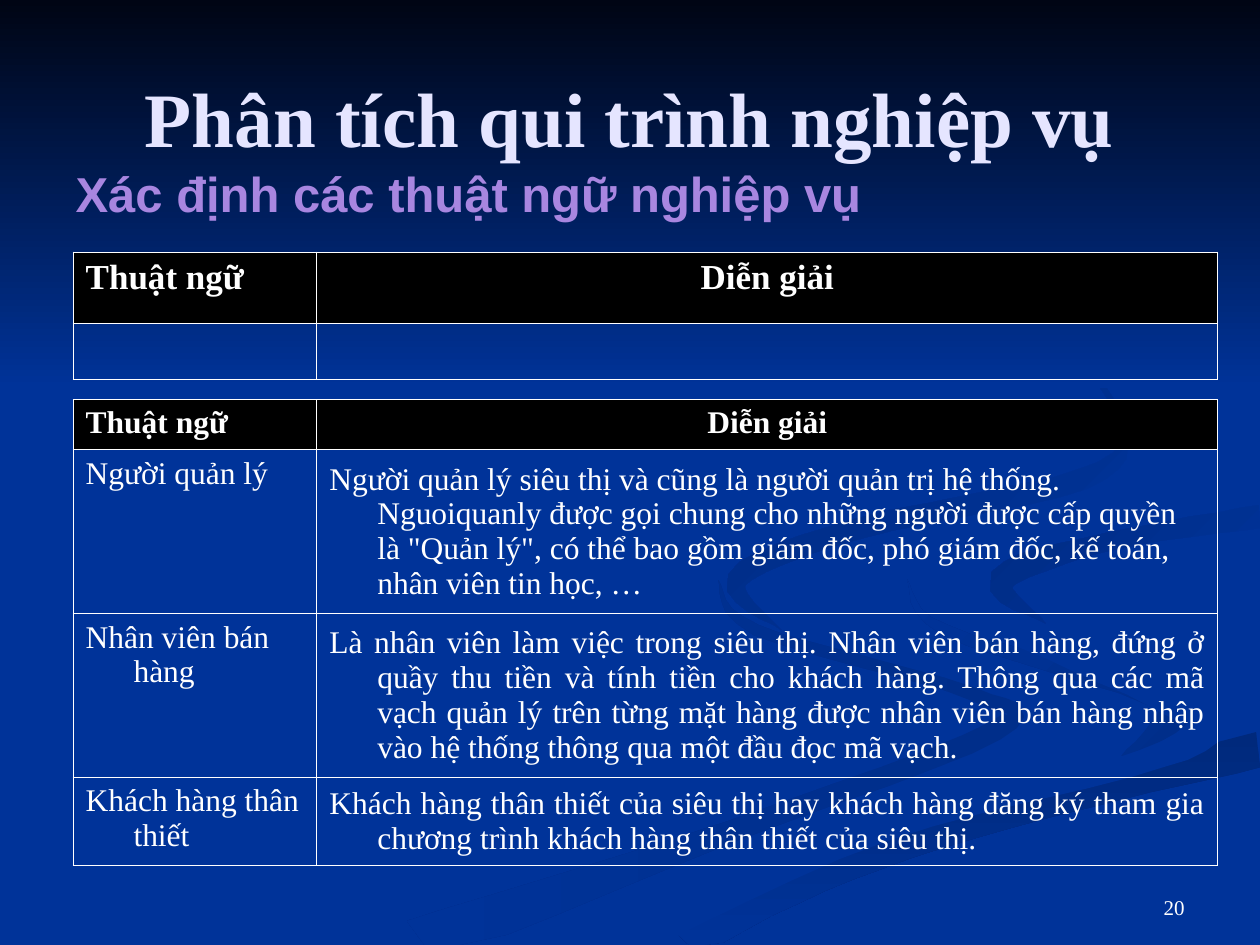
from math import hypot
from lxml.etree import SubElement
from pptx import Presentation
from pptx.dml.color import RGBColor
from pptx.enum.shapes import MSO_SHAPE
from pptx.enum.text import MSO_ANCHOR, MSO_AUTO_SIZE, PP_ALIGN
from pptx.oxml.ns import qn
from pptx.util import Inches, Pt

WIDE, HIGH = Inches(10), Inches(7.5)
COLS, ROWS = 100, 75
COL, ROW = WIDE // COLS, HIGH // ROWS
FINE = 10
CUTS = 6

WHITE = RGBColor(0xFF, 0xFF, 0xFF)
BLACK = RGBColor(0x00, 0x00, 0x00)
BLUE = RGBColor(0x00, 0x33, 0x99)
NIGHT = RGBColor(0x00, 0x05, 0x14)
DEEP = RGBColor(0x00, 0x2E, 0x8A)
DARK = RGBColor(0x00, 0x29, 0x7C)
DUSK = RGBColor(0x00, 0x2C, 0x85)
SHADE = RGBColor(0x00, 0x2B, 0x81)
PALE = RGBColor(0xE5, 0xE5, 0xFF)
LILAC = RGBColor(0xA8, 0x86, 0xE0)

SERIF, SANS = "Times New Roman", "Arial"
LEFT, MID = PP_ALIGN.LEFT, PP_ALIGN.CENTER
RIGHT, FULL = PP_ALIGN.RIGHT, PP_ALIGN.JUSTIFY

# Each knot: column, row, half the ribbon's breadth.
TAIL = [(57, 46, 0), (60, 50, 0.4), (77, 55, 0.5), (79, 58, 0.8),
        (58, 66, 0.9), (33, 75, 2)]
HOOK = [(72, 46, 0), (75, 50, 0.4), (91, 55, 0.8), (93, 57, 1.2), (89, 60, 0)]
SWEEP = [(100, 59.5, 1.4), (80, 64.5, 1.2), (65, 69.5, 1.3), (54, 75, 1.5)]
BODY = [(100, 39.5, 0.7), (85, 42.5, 1), (76, 46, 2.4), (84, 50.5, 2),
        (95, 56, 2), (92, 60, 1), (70, 66, 0.8), (50, 75, 1)]
CURL = [(100, 41, 0.9), (88, 43, 0.7), (79.5, 46, 1), (83, 49.5, 0)]
RING = [(76, 23, 0), (85, 28, 0.2), (89, 34, 0.3), (86, 38, 0.8),
        (68, 42, 0.8), (58.5, 46, 0.8), (62, 50, 0)]

DECOR = [
    (TAIL, DEEP, BLUE, 180),
    (HOOK, DEEP, BLUE, 225),
    (SWEEP, DARK, BLUE, 90),
    (BODY, BLUE, BLUE, 0),
    (CURL, BLUE, DUSK, 225),
    (RING, BLUE, SHADE, 225),
]

HEAD = [("Thuật ngữ", LEFT), ("Diễn giải", MID)]
TERMS = [
    HEAD,
    [("Người quản lý", FULL),
     ("Người quản lý siêu thị và cũng là người quản trị hệ thống. "
      "Nguoiquanly được gọi chung cho những người được cấp quyền là "
      "\"Quản lý\", có thể bao gồm giám đốc, phó giám đốc, kế toán, "
      "nhân viên tin học, …", LEFT)],
    [("Nhân viên bán hàng", LEFT),
     ("Là nhân viên làm việc trong siêu thị. Nhân viên bán hàng, đứng ở "
      "quầy thu tiền và tính tiền cho khách hàng. Thông qua các mã vạch "
      "quản lý trên từng mặt hàng được nhân viên bán hàng nhập vào hệ "
      "thống thông qua một đầu đọc mã vạch.", FULL)],
    [("Khách hàng thân thiết", LEFT),
     ("Khách hàng thân thiết của siêu thị hay khách hàng đăng ký tham gia "
      "chương trình khách hàng thân thiết của siêu thị.", FULL)],
]


def place(shape, left, top, wide, high):
    shape.left, shape.top = int(left * COL), int(top * ROW)
    shape.width, shape.height = int(wide * COL), int(high * ROW)


def write(para, text, size, font, color, bold=False, align=LEFT):
    para.alignment = align
    para.space_before = Pt(0)
    run = para.add_run()
    run.text = text
    run.font.size, run.font.name, run.font.bold = Pt(size), font, bold
    run.font.color.rgb = color


def hang(para):
    props = para._p.get_or_add_pPr()
    props.set("marL", str(Inches(0.38)))
    props.set("indent", str(-Inches(0.38)))


def blend(a, b, c, d, t):
    return b + t / 2 * (c - a + t * (2 * a - 5 * b + 4 * c - d
                                     + t * (3 * (b - c) + d - a)))


def smooth(knots):
    ends = [knots[0], *knots, knots[-1]]
    spine = [tuple(blend(*axis, cut / CUTS) for axis in zip(*four))
             for four in zip(ends, ends[1:], ends[2:], ends[3:])
             for cut in range(CUTS)]
    return spine + [knots[-1]]


def clip(x, y):
    return (round(min(max(x, 0), COLS) * FINE),
            round(min(max(y, 0), ROWS) * FINE))


def outline(knots):
    spine = smooth(knots)
    near, far = [], []
    for last, (x, y, half), ahead in zip(spine[:1] + spine, spine,
                                         spine[1:] + spine[-1:]):
        run, rise = ahead[0] - last[0], ahead[1] - last[1]
        span = hypot(run, rise)
        dx, dy = -rise / span * half, run / span * half
        near.append(clip(x + dx, y + dy))
        far.append(clip(x - dx, y - dy))
    return near + far[::-1]


def paint(shape, start, end, angle):
    shape.shadow.inherit = False
    shape.line.fill.background()
    shape.fill.gradient()
    shape.fill.gradient_angle = 360 - angle
    for spot, (stop, color) in enumerate(zip(shape.fill.gradient_stops, (start, end))):
        stop.color.rgb, stop.position = color, spot


def add_ribbon(slide, knots, start, end, angle):
    first, *rest = outline(knots)
    pen = slide.shapes.build_freeform(*first, scale=COL / FINE)
    pen.add_line_segments(rest, close=True)
    paint(pen.convert_to_shape(), start, end, angle)


def add_sky(slide):
    sky = slide.shapes.add_shape(MSO_SHAPE.RECTANGLE, 0, 0, COL, ROW)
    place(sky, 0, 0, COLS, 30.8)
    paint(sky, NIGHT, BLUE, 90)


def fill_holder(shape, spot, text, size, font, color, align, anchor):
    place(shape, *spot)
    frame = shape.text_frame
    frame.auto_size = MSO_AUTO_SIZE.NONE
    frame.vertical_anchor = anchor
    write(frame.paragraphs[0], text, size, font, color, True, align)


def edge(cell):
    props = cell._tc.get_or_add_tcPr()
    for side in ("lnL", "lnR", "lnT", "lnB"):
        line = SubElement(props, qn("a:" + side), w=str(Pt(0.45)))
        ink = SubElement(line, qn("a:solidFill"))
        SubElement(ink, qn("a:srgbClr"), val=str(WHITE))


def add_grid(slide, top, highs, rows, size):
    frame = slide.shapes.add_table(len(highs), 2, 0, 0, COL, ROW)
    place(frame, 5.8, top, 90.8, sum(highs))
    table = frame.table
    table.first_row = table.horz_banding = False
    for col, wide in zip(table.columns, (19.35, 71.5)):
        col.width = int(wide * COL)
    for row, high in zip(table.rows, highs):
        row.height = int(high * ROW)
    for cell in table.iter_cells():
        edge(cell)
        cell.fill.background()
    for i, row in enumerate(rows):
        for j, (text, align) in enumerate(row):
            cell = table.cell(i, j)
            para = cell.text_frame.paragraphs[0]
            hang(para)
            write(para, text, size, SERIF, WHITE, i == 0, align)
            if i == 0:
                cell.fill.solid()
                cell.fill.fore_color.rgb = BLACK
            elif j == 1:
                cell.vertical_anchor = MSO_ANCHOR.MIDDLE


def add_page(slide, text):
    box = slide.shapes.add_textbox(0, 0, COL, ROW)
    place(box, 71.7, 68.3, 23.3, 5.2)
    box.text_frame.word_wrap = True
    box.text_frame.vertical_anchor = MSO_ANCHOR.BOTTOM
    write(box.text_frame.paragraphs[0], text, 12, SERIF, WHITE, align=RIGHT)


def main():
    deck = Presentation()
    deck.slide_width, deck.slide_height = WIDE, HIGH
    slide = deck.slides.add_slide(deck.slide_layouts[1])
    slide.background.fill.solid()
    slide.background.fill.fore_color.rgb = BLUE
    title, body = slide.placeholders
    for ribbon in DECOR:
        add_ribbon(slide, *ribbon)
    add_sky(slide)
    for shape in (title, body):
        slide.shapes.element.append(shape.element)
    fill_holder(title, (5, 3, 90, 12.5), "Phân tích qui trình nghiệp vụ",
                44, SERIF, PALE, MID, MSO_ANCHOR.MIDDLE)
    para = body.text_frame.paragraphs[0]
    hang(para)
    SubElement(para._p.get_or_add_pPr(), qn("a:buNone"))
    fill_holder(body, (5, 12.5, 87.5, 10), "Xác định các thuật ngữ nghiệp vụ",
                28, SANS, LILAC, LEFT, MSO_ANCHOR.TOP)
    add_grid(slide, 20, (5.7, 4.4), [HEAD], 20)
    add_grid(slide, 31.7, (4, 13, 13, 7), TERMS, 18)
    add_page(slide, "20")
    deck.save("out.pptx")


if __name__ == "__main__":
    main()
